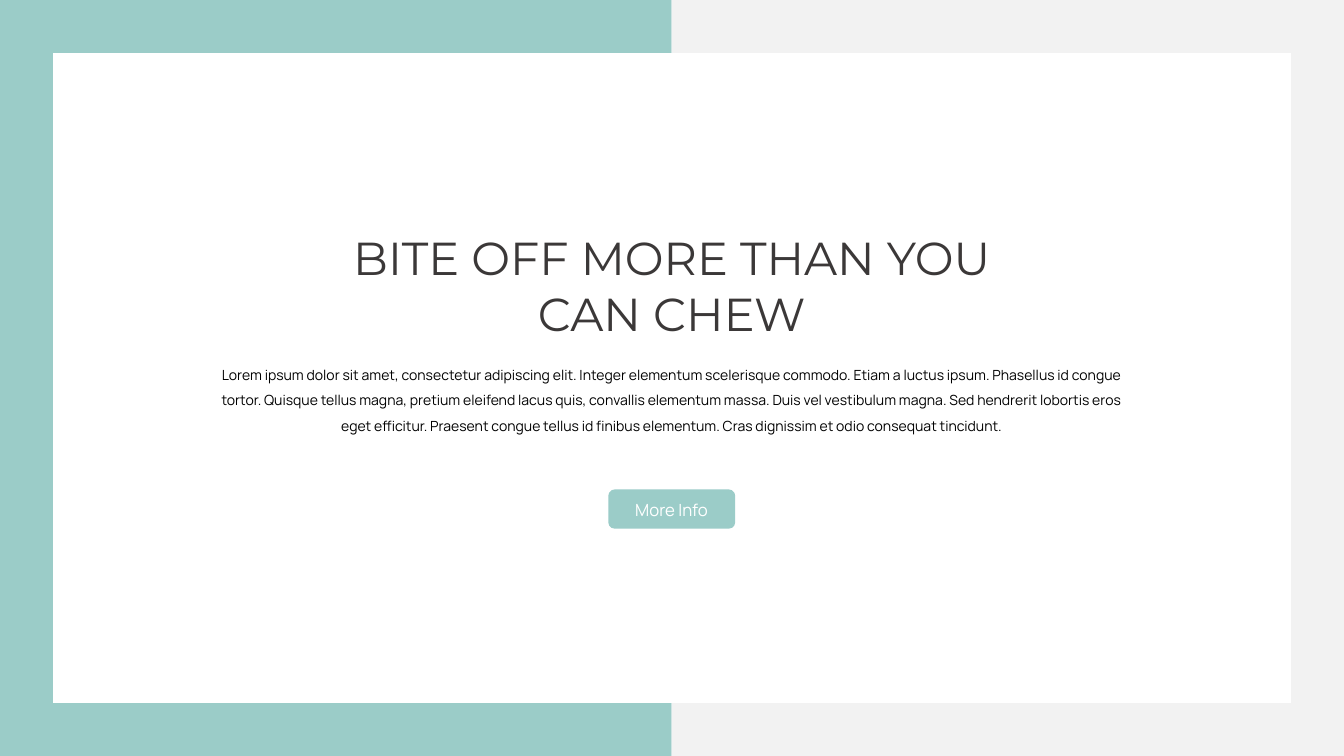
from lxml import etree
from pptx import Presentation
from pptx import util as u
from pptx.dml.color import RGBColor
from pptx.enum import shapes, text
from pptx.oxml.ns import qn

PX = 9144  # 100 px to the inch
W, H, EDGE = 2667, 1500, 105
MID = W // 2

TEAL = RGBColor(0x9B, 0xCC, 0xC8)
PALE = RGBColor(0xF2, 0xF2, 0xF2)
WHITE = RGBColor(0xFF, 0xFF, 0xFF)
DARK = RGBColor(0x3B, 0x38, 0x38)
BLACK = RGBColor(0, 0, 0)
RECT = shapes.MSO_SHAPE.RECTANGLE
ROUND = shapes.MSO_SHAPE.ROUNDED_RECTANGLE


def add_box(host, kind, box, color):
    shape = host.add_shape(kind, *[v * PX for v in box])
    shape.shadow.inherit = False
    shape.fill.solid()
    shape.fill.fore_color.rgb = color
    shape.line.fill.background()
    return shape


def add_text(host, box, words, spacing, look):
    frame = host.add_textbox(*[v * PX for v in box]).text_frame
    frame.word_wrap = True
    frame.auto_size = text.MSO_AUTO_SIZE.SHAPE_TO_FIT_TEXT
    para = frame.paragraphs[0]
    para.alignment = text.PP_ALIGN.CENTER
    para.line_spacing = spacing
    run = para.add_run()
    run.text = words
    for key, value in look.items():
        if key == "color":
            run.font.color.rgb = value
        else:
            setattr(run.font, key, value)


deck = Presentation()
deck.slide_width, deck.slide_height = W * PX, H * PX
slide = deck.slides.add_slide(deck.slide_layouts[6])
items = slide.shapes

# Translucent white panel
panel = add_box(items, RECT, (208, 208, 2250, 1083), WHITE)
tint = panel.fill._xPr.find(qn("a:solidFill"))[0]
etree.SubElement(tint, qn("a:alpha")).set("val", "75000")

# Two-tone border: top, bottom and outer side of each half
for left, width, side, color in ((0, MID, 0, TEAL),
                                 (MID, W - MID, W - EDGE, PALE)):
    group = items.add_group_shape().shapes
    for box in ((left, 0, width, EDGE),
                (left, H - EDGE, width, EDGE),
                (side, EDGE, EDGE, H - 2 * EDGE)):
        add_box(group, RECT, box, color)

# Title and body
add_text(items, (678, 451, 1310, 232), "BITE OFF MORE THAN YOU CAN CHEW", 1.0,
         {"name": "Montserrat", "size": u.Pt(66), "color": DARK})
add_text(items, (419, 706, 1828, 162),
         "Lorem ipsum dolor sit amet, consectetur adipiscing elit. Integer "
         "elementum scelerisque commodo. Etiam a luctus ipsum. Phasellus id "
         "congue tortor. Quisque tellus magna, pretium eleifend lacus quis, "
         "convallis elementum massa. Duis vel vestibulum magna. Sed hendrerit "
         "lobortis eros eget efficitur. Praesent congue tellus id finibus "
         "elementum. Cras dignissim et odio consequat tincidunt.", 1.5,
         {"name": "Manrope", "size": u.Pt(20), "color": BLACK})

# Button
add_box(items, ROUND, (1207, 971, 252, 78), TEAL)
add_text(items, (1207, 986, 251, 50), "More Info", 1.0,
         {"name": "Manrope", "size": u.Pt(24), "color": WHITE})

deck.save("out.pptx")
